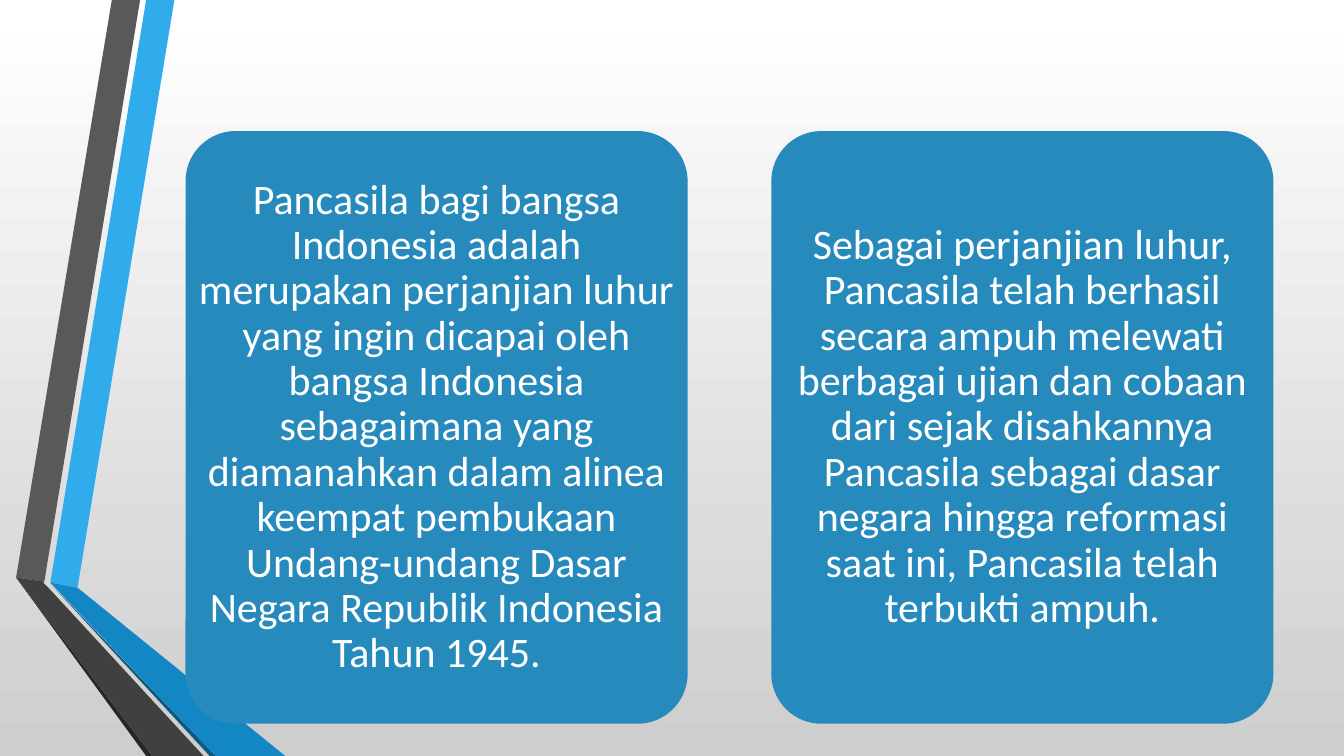
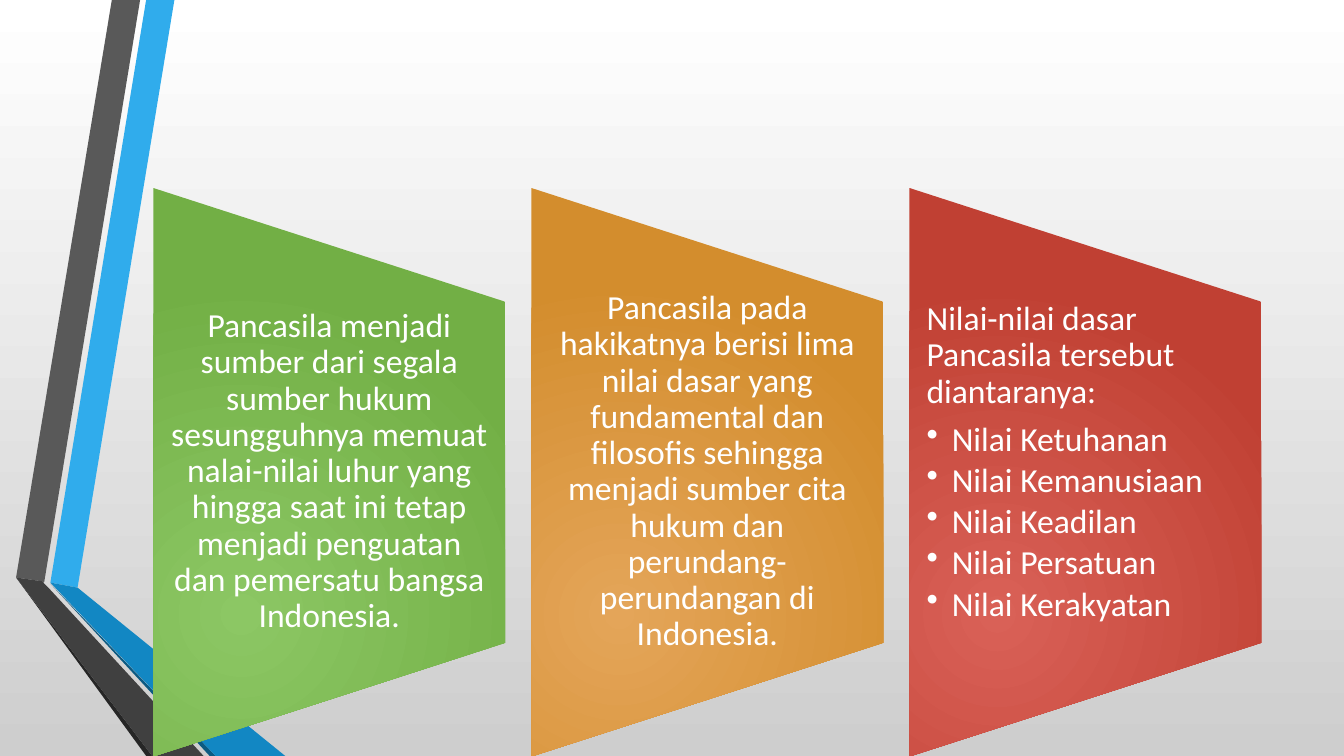
import pptx
import pptx.dml.color
import pptx.enum.shapes
import pptx.enum.text
import pptx.util
from lxml import etree
from pptx.util import Inches

FONT = "Calibri"
WHITE = "FFFFFF"
CARD_BLUE = "268ABD"
SHAPES = pptx.enum.shapes.MSO_SHAPE
ALIGN = pptx.enum.text.PP_ALIGN
ANCHOR = pptx.enum.text.MSO_ANCHOR
DRAWING = "{http://schemas.openxmlformats.org/drawingml/2006/main}"


def rgb(color):
    return pptx.dml.color.RGBColor.from_string(color)


def add_text(slide, box, lines, size, margins, align=ALIGN.CENTER, anchor=ANCHOR.MIDDLE):
    """Add white text; every line after the first is a bullet."""
    frame = slide.shapes.add_textbox(*[Inches(value) for value in box]).text_frame
    frame.word_wrap = True
    frame.vertical_anchor = anchor
    frame.margin_left = frame.margin_right = Inches(margins[0])
    frame.margin_top = frame.margin_bottom = Inches(margins[1])
    for index, line in enumerate(lines):
        paragraph = frame.paragraphs[0] if index == 0 else frame.add_paragraph()
        paragraph.text = line
        paragraph.alignment = align
        paragraph.line_spacing = 0.9
        paragraph.space_after = pptx.util.Pt(size * (0.15 if index else 0.35))
        if index:
            paragraph.level = 1
            properties = paragraph._p.get_or_add_pPr()
            properties.set("marL", str(Inches(0.25)))
            properties.set("indent", str(Inches(-0.25)))
            etree.SubElement(properties, DRAWING + "buChar", char="•")
        paragraph.font.name = FONT
        paragraph.font.size = pptx.util.Pt(size)
        paragraph.font.color.rgb = rgb(WHITE)


presentation = pptx.Presentation()
presentation.slide_width = Inches(13.33)
presentation.slide_height = Inches(7.5)
master = presentation.slide_master
blank_layout = presentation.slide_layouts[6]
cards_slide = presentation.slides.add_slide(blank_layout)
values_slide = presentation.slides.add_slide(blank_layout)

# Shared background and folded ribbons
background = master.background.fill
background.gradient()
background.gradient_angle = 270
for stop, color, position in zip(background.gradient_stops, (WHITE, "CECECE"), (0, 1)):
    stop.color.rgb = rgb(color)
    stop.position = position

ribbons = [
    ("30ACEC", [(0.5, 5.78), (0.77, 5.83), (1.73, 0), (1.45, 0)]),
    ("595959", [(1.39, 0), (1.11, 0), (0.16, 5.73), (0.44, 5.77)]),
    ("262626", [(0.16, 5.73), (1.45, 7.5), (1.51, 7.5)]),
    ("0C5A82", [(0.5, 5.79), (2.08, 7.5), (2.14, 7.5)]),
    ("1287C3", [(0.5, 5.78), (2.14, 7.5), (2.83, 7.5), (0.77, 5.83)]),
    ("404040", [(2.02, 7.5), (0.48, 5.83), (0.43, 5.78), (0.44, 5.77), (0.16, 5.73), (1.51, 7.5)]),
]
for color, corners in ribbons:
    points = [(Inches(x), Inches(y)) for x, y in corners]
    builder = cards_slide.shapes.build_freeform(*points[0])
    builder.add_line_segments(points[1:])
    ribbon = builder.convert_to_shape()
    ribbon.shadow.inherit = False
    ribbon.fill.solid()
    ribbon.fill.fore_color.rgb = rgb(color)
    ribbon.line.fill.background()
    # Appending to the master moves the ribbon off the slide
    master.shapes.element.append(ribbon.element)

# Slide 1: two rounded cards
card_texts = [
    "Pancasila bagi bangsa Indonesia adalah merupakan perjanjian luhur yang ingin dicapai oleh "
    "bangsa Indonesia sebagaimana yang diamanahkan dalam alinea keempat pembukaan Undang-undang "
    "Dasar Negara Republik Indonesia Tahun 1945.",
    "Sebagai perjanjian luhur, Pancasila telah berhasil secara ampuh melewati berbagai ujian dan "
    "cobaan dari sejak disahkannya Pancasila sebagai dasar negara hingga reformasi saat ini, "
    "Pancasila telah terbukti ampuh.",
]
for column, text in enumerate(card_texts):
    box = (1.84 + 5.81 * column, 1.3, 4.98, 5.88)
    card = cards_slide.shapes.add_shape(
        SHAPES.ROUNDED_RECTANGLE, *[Inches(value) for value in box])
    card.adjustments[0] = 0.1
    card.shadow.inherit = False
    card.fill.solid()
    card.fill.fore_color.rgb = rgb(CARD_BLUE)
    card.line.fill.background()
    add_text(cards_slide, box, [text], 30, (0.12, 0.12))

# Slide 2: three trapezoids turned on their side
panels = [
    (("8CC764", "72AF45"), ALIGN.CENTER, ANCHOR.MIDDLE, [
        "Pancasila menjadi sumber dari segala sumber hukum sesungguhnya memuat nalai-nilai luhur "
        "yang hingga saat ini tetap menjadi penguatan dan pemersatu bangsa Indonesia."]),
    (("E4A559", "D38D2D"), ALIGN.CENTER, ANCHOR.MIDDLE, [
        "Pancasila pada hakikatnya berisi lima nilai dasar yang fundamental dan filosofis "
        "sehingga menjadi sumber cita hukum dan perundang-perundangan di Indonesia."]),
    (("D96157", "C04033"), ALIGN.LEFT, ANCHOR.TOP, [
        "Nilai-nilai dasar Pancasila tersebut diantaranya:", "Nilai Ketuhanan",
        "Nilai Kemanusiaan", "Nilai Keadilan", "Nilai Persatuan", "Nilai Kerakyatan"]),
]
panel_width, panel_height = 3.49, 5.64
for column, (colors, align, anchor, lines) in enumerate(panels):
    left = 1.52 + 3.75 * column
    panel = values_slide.shapes.add_shape(
        SHAPES.FLOWCHART_MANUAL_OPERATION,
        Inches(left - (panel_height - panel_width) / 2), Inches(2.94),
        Inches(panel_height), Inches(panel_width))
    panel.rotation = 270
    panel.shadow.inherit = False
    panel.line.fill.background()
    panel.fill.gradient()
    for stop, color, position in zip(panel.fill.gradient_stops, colors, (0, 1)):
        stop.color.rgb = rgb(color)
        stop.position = position
    # Swap the linear gradient for a radial one
    gradient = panel.element.spPr.find(DRAWING + "gradFill")
    gradient.remove(gradient.find(DRAWING + "lin"))
    radial = etree.SubElement(gradient, DRAWING + "path", attrib={"path": "circle"})
    etree.SubElement(radial, DRAWING + "fillToRect", l="50000", t="100000", r="100000", b="50000")
    add_text(values_slide, (left, 2.99, panel_width, 3.38), lines, 24, (0.17, 0), align, anchor)

presentation.save("out.pptx")
